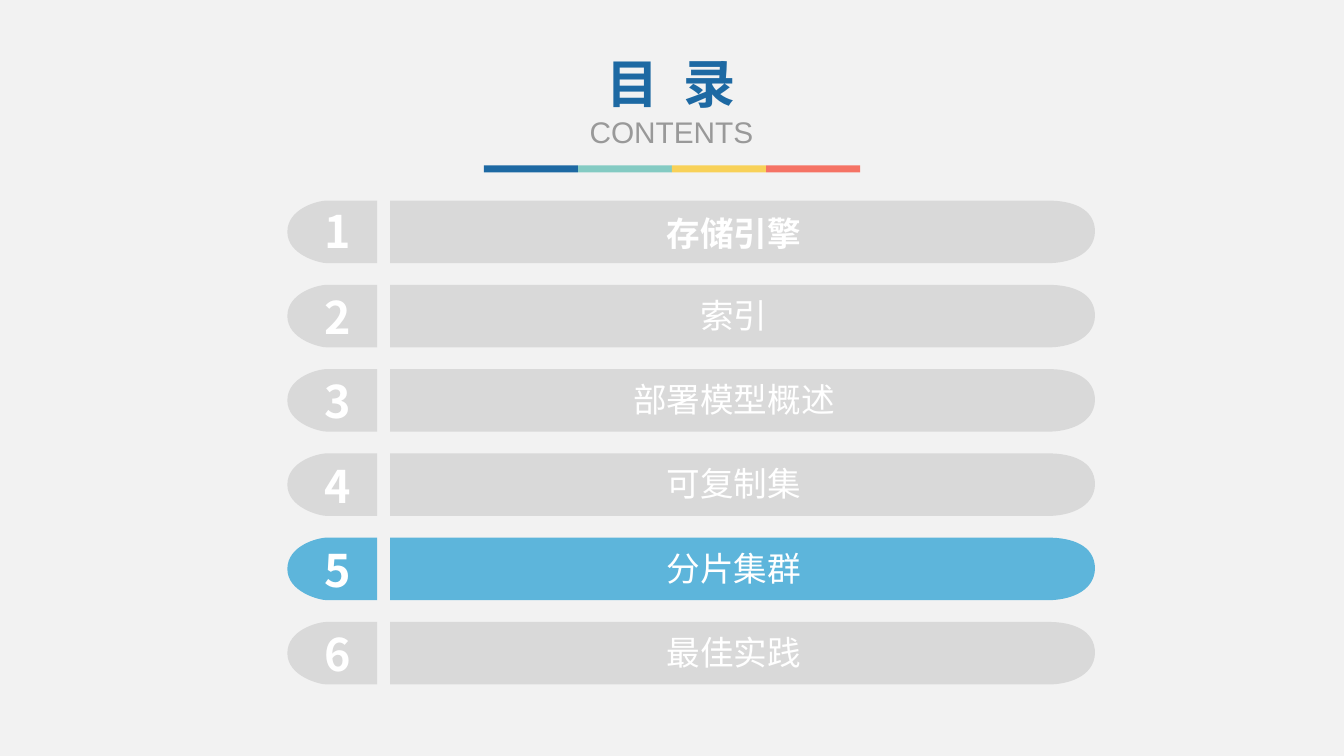
import pptx
import pptx.dml.color
import pptx.enum.shapes
import pptx.enum.text
import pptx.oxml.ns
import pptx.util
import lxml.etree

Inches = pptx.util.Inches
qn = pptx.oxml.ns.qn
CJK_FONT = "Noto Sans CJK SC"
ROW_TOP = 1.99
ROW_STEP = (6.17 - ROW_TOP) / 5

# Three corners, then two Bézier curves of three points each.
TAB_POINTS = [(0.89, 0), (0.89, 0.62), (0.39, 0.62),
              (0.32, 0.62), (0, 0.54), (0, 0.31),
              (0, 0.08), (0.3, 0), (0.39, 0)]
BAR_POINTS = [(0, 0), (0, 0.62), (6.53, 0.62),
              (6.71, 0.62), (6.98, 0.55), (6.99, 0.31),
              (6.99, 0.07), (6.75, 0), (6.53, 0)]


def paint(fill, color):
    fill.solid()
    fill.fore_color.rgb = pptx.dml.color.RGBColor.from_string(color)


def write(paragraph, text, color, **font_values):
    """Put one centred run in the paragraph, with the font also set for Chinese text."""
    paragraph.alignment = pptx.enum.text.PP_ALIGN.CENTER
    run = paragraph.add_run()
    run.text = text
    paint(run.font.fill, color)
    for name, value in font_values.items():
        setattr(run.font, name, value)
    east_asian = lxml.etree.SubElement(run._r.get_or_add_rPr(), qn("a:ea"))
    east_asian.set("typeface", CJK_FONT)
    return run


presentation = pptx.Presentation()
presentation.slide_width = Inches(13.33)
presentation.slide_height = Inches(7.5)
slide = presentation.slides.add_slide(presentation.slide_layouts[5])
paint(slide.background.fill, "F2F2F2")

# Heading
title = slide.shapes.title
title.left, title.top, title.width, title.height = map(Inches, (5.58, 0.46, 2.16, 1.09))
title.text_frame.vertical_anchor = pptx.enum.text.MSO_ANCHOR.TOP
title.text_frame.auto_size = pptx.enum.text.MSO_AUTO_SIZE.SHAPE_TO_FIT_TEXT
heading = write(title.text_frame.paragraphs[0], "目 录", "1D69A3",
                name="Roboto Condensed", size=pptx.util.Pt(37.3), bold=True)
heading._r.get_or_add_rPr().set("spc", "450")
write(title.text_frame.add_paragraph(), "CONTENTS", "999999",
      name="Arial", size=pptx.util.Pt(21.3), bold=False)

# Four-colour rule
stripes = slide.shapes.add_group_shape()
for index, color in enumerate(["1D69A3", "84CBC3", "F8D158", "F57365"]):
    stripe = stripes.shapes.add_shape(
        pptx.enum.shapes.MSO_SHAPE.RECTANGLE,
        Inches(4.8 + index * 3.73 / 4), Inches(1.64), Inches(3.73 / 4), Inches(0.07))
    paint(stripe.fill, color)
    stripe.line.fill.background()
    stripe.shadow.inherit = False

# Agenda rows: topic, colour, bold, number and topic offsets from the row top
agenda = [("存储引擎", "D9D9D9", True, -0.02, 0.07),
          ("索引", "D9D9D9", False, 0, 0.05),
          ("部署模型概述", "D9D9D9", False, 0, 0.05),
          ("可复制集", "D9D9D9", False, 0, 0.05),
          ("分片集群", "5DB5DB", False, 0, 0.05),
          ("最佳实践", "D9D9D9", False, 0, 0.05)]
for index, (topic, color, bold, number_offset, topic_offset) in enumerate(agenda):
    top = ROW_TOP + index * ROW_STEP
    row = slide.shapes.add_group_shape()

    for left, points in [(3.87, BAR_POINTS), (2.85, TAB_POINTS)]:
        outline = [(Inches(left + x), Inches(top + y)) for x, y in points]
        builder = row.shapes.build_freeform(*outline[0])
        builder.add_line_segments(outline[1:], close=True)
        shape = builder.convert_to_shape()
        segments = list(shape._element.iter(qn("a:lnTo")))[2:8]
        for first in (0, 3):
            curve = lxml.etree.Element(qn("a:cubicBezTo"))
            segments[first].addprevious(curve)
            for segment in segments[first:first + 3]:
                curve.append(segment[0])
                segment.getparent().remove(segment)
        paint(shape.fill, color)
        shape.line.fill.background()
        shape.shadow.inherit = False

    for text, left, offset, width, height, size, is_bold, wrap in [
            (str(index + 1), 3.11, number_offset, 0.48, 0.64, 32, True, False),
            (topic, 3.91, topic_offset, 6.74, 0.5, 24, bold, True)]:
        box = row.shapes.add_textbox(Inches(left), Inches(top + offset),
                                     Inches(width), Inches(height))
        box.text_frame.word_wrap = wrap
        box.text_frame.auto_size = pptx.enum.text.MSO_AUTO_SIZE.SHAPE_TO_FIT_TEXT
        write(box.text_frame.paragraphs[0], text, "FFFFFF",
              name=CJK_FONT, size=pptx.util.Pt(size), bold=is_bold)

presentation.save("out.pptx")
